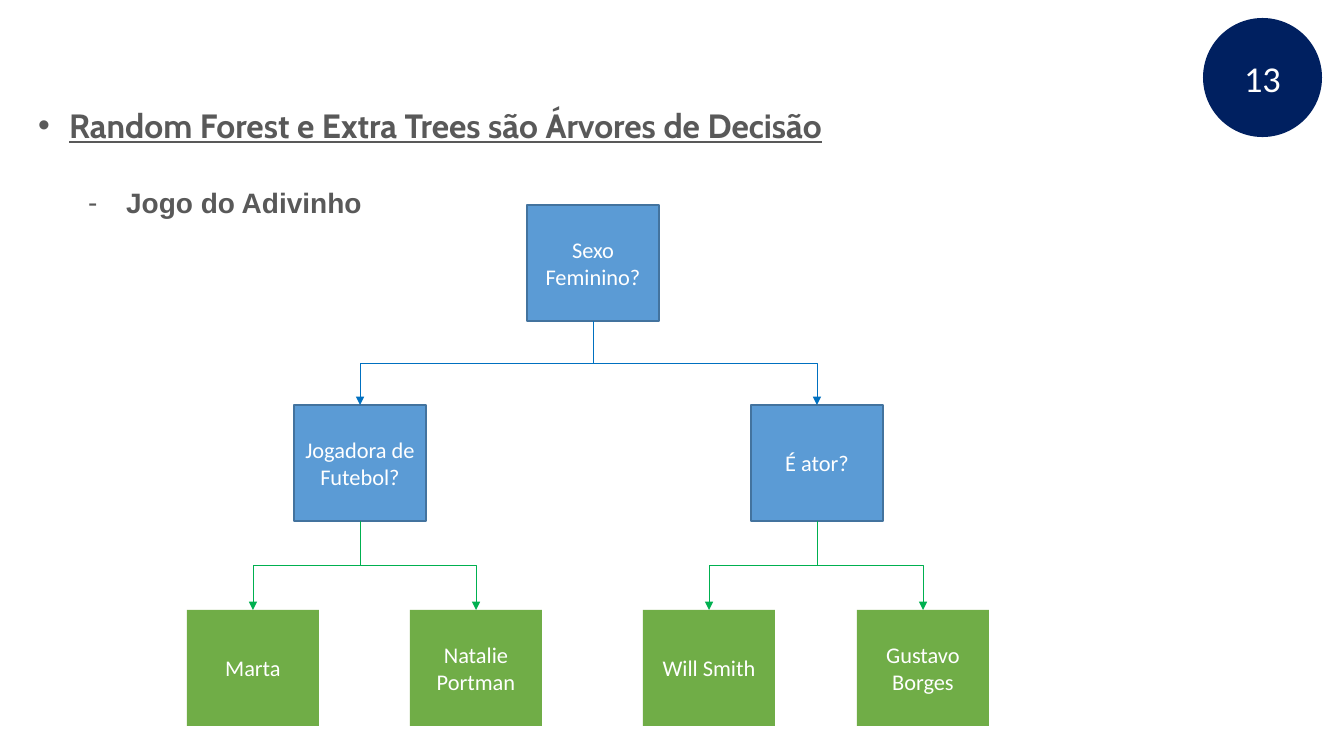
from lxml import etree
from pptx import Presentation
from pptx import util as u
from pptx.dml.color import RGBColor
from pptx.enum import shapes, text
from pptx.oxml import ns

PX = 914400 / 100.8
WHITE = RGBColor(0xFF, 0xFF, 0xFF)
NAVY = RGBColor(0x00, 0x20, 0x60)
GREY = RGBColor(0x59, 0x59, 0x59)
BLUE = RGBColor(0x5B, 0x9B, 0xD5)
BLUE_EDGE = RGBColor(0x43, 0x73, 0x9E)
BLUE_ARROW = RGBColor(0x00, 0x70, 0xC0)
GREEN = RGBColor(0x70, 0xAD, 0x47)
GREEN_ARROW = RGBColor(0x00, 0xB0, 0x50)

NODE_WIDTH, NODE_HEIGHT = 132, 116
ROOT_TOP, QUESTION_TOP, ANSWER_TOP = 205, 405, 610
ROOT = ("Sexo Feminino?", 527)
# Each question, its left edge, and its answers with theirs
QUESTIONS = [
    ("Jogadora de Futebol?", 294, [("Marta", 187), ("Natalie Portman", 410)]),
    ("É ator?", 751, [("Will Smith", 643), ("Gustavo Borges", 857)]),
]


def px(length):
    return u.Emu(round(length * PX))


def add_run(paragraph, words, font_name, size, colour, bold=False, underline=False):
    run = paragraph.add_run()
    run.text = words
    font = run.font
    font.name = font_name
    font.size = u.Pt(size)
    font.color.rgb = colour
    font.bold = bold
    font.underline = underline


def add_label_shape(slide, kind, box, words, size, fill, edge=None):
    """Add a filled shape with centred white text."""
    shape = slide.shapes.add_shape(kind, *map(px, box))
    shape.shadow.inherit = False
    shape.fill.solid()
    shape.fill.fore_color.rgb = fill
    if edge is None:
        shape.line.fill.background()
    else:
        shape.line.color.rgb = edge
        shape.line.width = u.Pt(1)
    frame = shape.text_frame
    frame.word_wrap = True
    frame.vertical_anchor = text.MSO_ANCHOR.MIDDLE
    paragraph = frame.paragraphs[0]
    paragraph.alignment = text.PP_ALIGN.CENTER
    add_run(paragraph, words, "Calibri", size, WHITE)
    return shape


def add_node(slide, words, left, top, fill, edge=None):
    box = (left, top, NODE_WIDTH, NODE_HEIGHT)
    return add_label_shape(slide, shapes.MSO_SHAPE.RECTANGLE, box, words, 16, fill, edge)


def add_branch(slide, parent, child, colour):
    """Add an elbow arrow from the bottom of parent to the top of child."""
    connector = slide.shapes.add_connector(shapes.MSO_CONNECTOR.ELBOW, 0, 0, 0, 0)
    connector.begin_connect(parent, 2)
    connector.end_connect(child, 0)
    start_x, start_y = connector.begin_x, connector.begin_y
    end_x, end_y = connector.end_x, connector.end_y

    # A vertical elbow is a horizontal one turned by a quarter about its centre
    drop, spread = end_y - start_y, abs(end_x - start_x)
    connector.left = u.Emu((start_x + end_x - drop) // 2)
    connector.top = u.Emu((start_y + end_y - spread) // 2)
    connector.width, connector.height = u.Emu(drop), u.Emu(spread)
    goes_right = end_x > start_x
    properties = connector._element.spPr
    transform = properties.find(ns.qn("a:xfrm"))
    transform.set("flipH", "1" if goes_right else "0")
    transform.set("rot", str((270 if goes_right else 90) * 60000))

    connector.line.color.rgb = colour
    connector.line.width = u.Pt(0.5)
    line = properties.find(ns.qn("a:ln"))
    etree.SubElement(line, ns.qn("a:tailEnd"), type="triangle")
    etree.SubElement(properties, ns.qn("a:effectLst"))


def add_bullet(paragraph, symbol, margin, indent):
    properties = paragraph._p.get_or_add_pPr()
    properties.set("marL", str(px(margin)))
    properties.set("indent", str(px(indent)))
    etree.SubElement(properties, ns.qn("a:buFont"), typeface="Arial")
    etree.SubElement(properties, ns.qn("a:buChar"), char=symbol)


def fill_body(body):
    body.left, body.top, body.width, body.height = map(px, (28, 100, 1175, 126))
    body.fill.solid()
    body.fill.fore_color.rgb = WHITE
    frame = body.text_frame
    frame.word_wrap = True
    frame.auto_size = text.MSO_AUTO_SIZE.NONE
    frame.vertical_anchor = text.MSO_ANCHOR.TOP

    heading = frame.paragraphs[0]
    topic = frame.add_paragraph()
    topic.level = 1
    for paragraph, gap in ((heading, 0), (topic, 29)):
        paragraph.alignment = text.PP_ALIGN.JUSTIFY
        paragraph.line_spacing = 1.0
        paragraph.space_before = u.Pt(gap)
    add_bullet(heading, "•", 31, -31)
    add_run(heading, "Random Forest e Extra Trees são Árvores de Decisão",
            "Cabin", 24, GREY, bold=True, underline=True)
    add_bullet(topic, "-", 88, -38)
    add_run(topic, "Jogo do Adivinho", "Arial", 20, GREY, bold=True)


def add_decision_tree(slide):
    words, left = ROOT
    root = add_node(slide, words, left, ROOT_TOP, BLUE, BLUE_EDGE)
    for words, left, answers in QUESTIONS:
        question = add_node(slide, words, left, QUESTION_TOP, BLUE, BLUE_EDGE)
        add_branch(slide, root, question, BLUE_ARROW)
        for answer_words, answer_left in answers:
            answer = add_node(slide, answer_words, answer_left, ANSWER_TOP, GREEN)
            add_branch(slide, question, answer, GREEN_ARROW)


def main():
    presentation = Presentation()
    presentation.slide_width = px(1344)
    presentation.slide_height = px(756)
    slide = presentation.slides.add_slide(presentation.slide_layouts[1])
    title = slide.shapes.title._element
    title.getparent().remove(title)

    add_label_shape(slide, shapes.MSO_SHAPE.OVAL, (1203, 18, 119, 119), "13", 26, NAVY)
    fill_body(slide.placeholders[1])
    add_decision_tree(slide)
    presentation.save("out.pptx")


if __name__ == "__main__":
    main()
